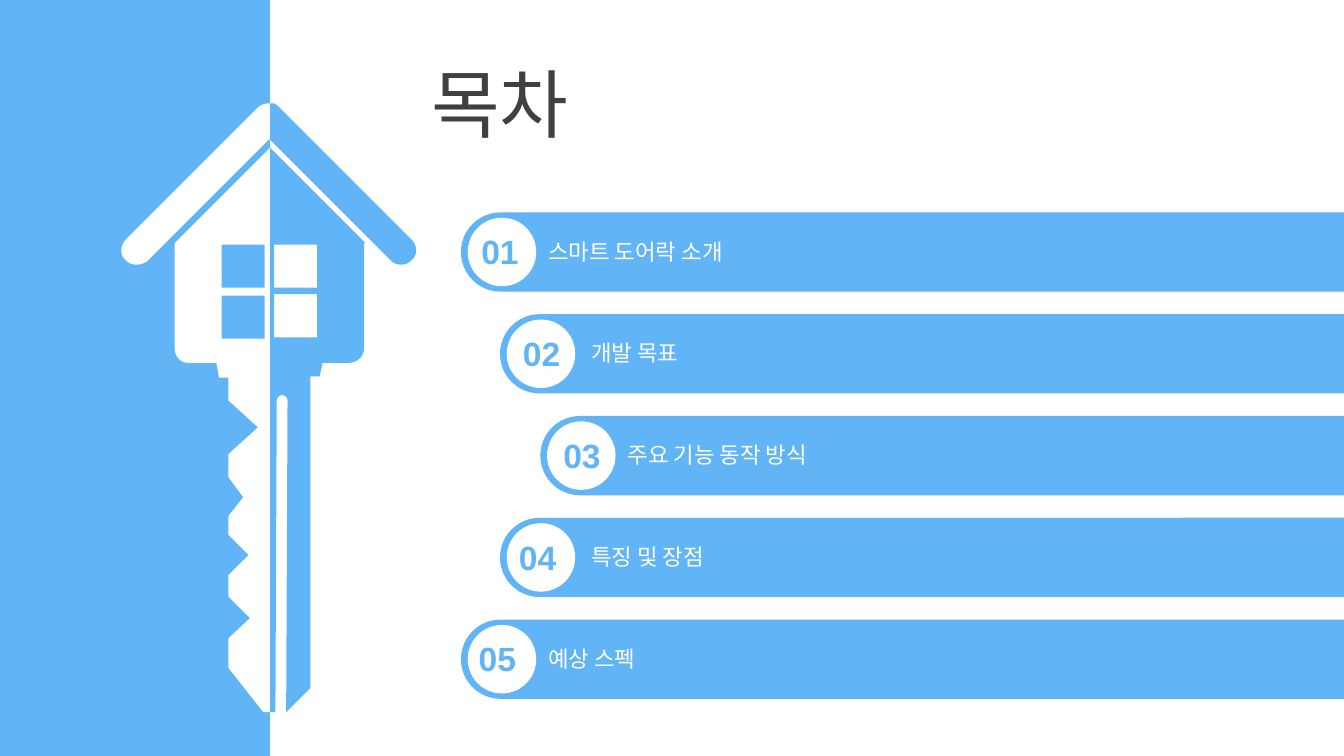
"""Build a contents slide with a house key and five numbered bars."""
from pptx import Presentation
from pptx.dml.color import RGBColor
from pptx.enum.shapes import MSO_SHAPE
from pptx.enum.text import MSO_ANCHOR, PP_ALIGN
from pptx.util import Inches, Pt

RECT, OVAL, ROUND = MSO_SHAPE.RECTANGLE, MSO_SHAPE.OVAL, MSO_SHAPE.ROUND_2_SAME_RECTANGLE
MIDDLE, TOP = MSO_ANCHOR.MIDDLE, MSO_ANCHOR.TOP
LEFT, CENTER = PP_ALIGN.LEFT, PP_ALIGN.CENTER

COLORS = {"blue": "61B4F6", "white": "FFFFFF", "dark": "404040"}
FONT = "Arial"
WIDE = 10
HIGH = WIDE * 9 / 16
TITLE = "목차"
ITEMS = [
    ("01", "스마트 도어락 소개", 3.43, 3.48, 3.98),
    ("02", "개발 목표", 3.72, 3.79, 4.3),
    ("03", "주요 기능 동작 방식", 4.02, 4.09, 4.57),
    ("04", "특징 및 장점", 3.72, 3.76, 4.3),
    ("05", "예상 스펙", 3.43, 3.46, 3.98),
]
FIRST, LAST, BAR, DISC = 1.58, 4.61, 0.59, 0.51


def pane(x, y, size=0.32):
    return [(x, y), (x, y + size), (x + size, y + size), (x + size, y)]


LEFT_KEY = [
    [(1.7, 2.81), (2.01, 2.81), (2.01, 5.3), (1.96, 5.3), (1.7, 4.97), (1.7, 4.75),
     (1.86, 4.6), (1.7, 4.44), (1.7, 4.28), (1.85, 4.13), (1.7, 3.98), (1.7, 3.84),
     (1.81, 3.7), (1.7, 3.55), (1.7, 3.38), (1.92, 3.18), (1.7, 2.98)],
    pane(1.65, 2.2), pane(1.65, 1.82),
    [(2.01, 1.1), (2.01, 2.81), (1.63, 2.81), (1.61, 2.7), (1.4, 2.7),
     (1.34, 2.7, 1.3, 2.65, 1.3, 2.59), (1.3, 1.81)],
    [(2, 0.77), (2.01, 0.77), (2.01, 1.04), (2, 1.04), (1.1, 1.94),
     (1.05, 1.98, 0.98, 1.98, 0.94, 1.94), (0.89, 1.9, 0.89, 1.83, 0.94, 1.78),
     (1.92, 0.8), (1.94, 0.78, 1.97, 0.77, 2, 0.77)],
]
RIGHT_KEY = [
    [(2.01, 2.8), (2.31, 2.8), (2.31, 5.12), (2.13, 5.3), (2.14, 2.98),
     (2.14, 2.96, 2.12, 2.94, 2.1, 2.94), (2.08, 2.94, 2.06, 2.96, 2.06, 2.98),
     (2.05, 5.3), (2.01, 5.3)],
    pane(2.04, 2.19), pane(2.04, 1.82),
    [(2.01, 1.1), (2.72, 1.81), (2.71, 1.81), (2.71, 2.59),
     (2.71, 2.65, 2.66, 2.7, 2.6, 2.7), (2.4, 2.7), (2.38, 2.8), (2.01, 2.8)],
    [(2.01, 0.77), (2.04, 0.77), (2.06, 0.78, 2.07, 0.79, 2.08, 0.8), (3.06, 1.78),
     (3.11, 1.83, 3.11, 1.9, 3.06, 1.94), (3.02, 1.98, 2.95, 1.98, 2.91, 1.94),
     (2.01, 1.04)],
]


def paint(shape, color):
    shape.shadow.inherit = False
    shape.fill.solid()
    shape.fill.fore_color.rgb = RGBColor.from_string(COLORS[color])
    shape.line.fill.background()
    return shape


def block(kind, x, y, w, h, color):
    box = [Inches(n) for n in (x, y, w, h)]
    return paint(slide.shapes.add_shape(kind, *box), color)


def text(words, x, y, w, h, size=12, color="white", bold=False, align=LEFT,
         anchor=TOP, wrap=True):
    frame = slide.shapes.add_textbox(*[Inches(n) for n in (x, y, w, h)]).text_frame
    frame.word_wrap, frame.vertical_anchor = wrap, anchor
    para = frame.paragraphs[0]
    para.alignment = align
    run = para.add_run()
    run.text = words
    run.font.name, run.font.size, run.font.bold = FONT, Pt(size), bold
    run.font.color.rgb = RGBColor.from_string(COLORS[color])


def trace(ring, steps=10):
    points = []
    for part in ring:
        if len(part) == 2:
            points.append(part)
            continue
        curve = [points[-1], part[:2], part[2:4], part[4:]]
        for i in range(1, steps + 1):
            t = i / steps
            mix = ((1 - t) ** 3, 3 * t * (1 - t) ** 2, 3 * t * t * (1 - t), t ** 3)
            points.append(tuple(sum(m * p[k] for m, p in zip(mix, curve)) for k in (0, 1)))
    return [(Inches(x), Inches(y)) for x, y in points]


def outline(rings, color):
    paths = [trace(ring) for ring in rings]
    pen = slide.shapes.build_freeform(*paths[0][0])
    for i, points in enumerate(paths):
        if i:
            pen.move_to(*points[0])
        pen.add_line_segments(points[1:], close=True)
    paint(pen.convert_to_shape(), color)


deck = Presentation()
deck.slide_width, deck.slide_height = Inches(WIDE), Inches(HIGH)
slide = deck.slides.add_slide(deck.slide_layouts[6])

block(RECT, -0.01, 0, 2.02, HIGH, "blue")
outline(LEFT_KEY, "white")
outline(RIGHT_KEY, "blue")
text(TITLE, 3.11, 0.45, 6.89, 0.63, size=40, color="dark", anchor=MIDDLE)

for i, (num, label, left, num_x, label_x) in enumerate(ITEMS):
    top = FIRST + (LAST - FIRST) * i / (len(ITEMS) - 1)
    span = WIDE - left
    bar = block(ROUND, left + (span - BAR) / 2, top - (span - BAR) / 2, BAR, span, "blue")
    bar.adjustments[0], bar.adjustments[1] = 0.5, 0
    bar.rotation = 270
    block(OVAL, left + 0.05, top + 0.04, DISC, DISC, "white")
    text(num, num_x, top + 0.09, 0.48, 0.4, size=18, color="blue", bold=True,
         align=CENTER, wrap=False)
    text(label, label_x, top + 0.14, min(5.47, 9.85 - label_x), 0.3)

deck.save("out.pptx")
